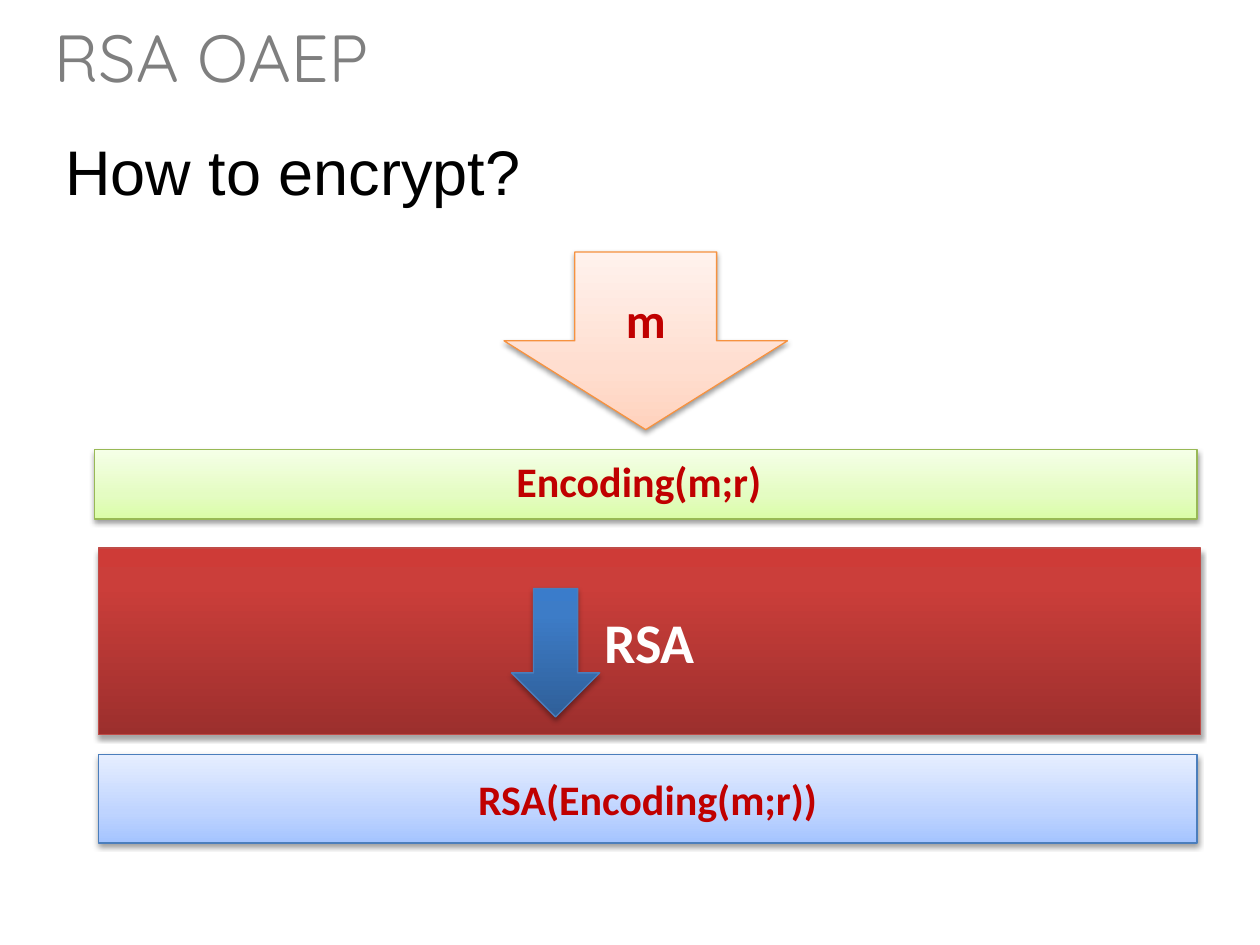
from copy import deepcopy

from lxml import etree
from pptx import Presentation
from pptx import util as u
from pptx.dml.color import RGBColor
from pptx.enum import shapes, text
from pptx.oxml.ns import qn

COLORS = {
    "title": "7F7F7F", "black": "000000", "white": "FFFFFF", "label": "C00000",
    "orange_line": "F69240", "red_line": "BF4C48",
    "green_line": "98B955", "blue_line": "4B7EBC",
}
SOFT = {"stops": (0, 0.35, 1), "opacity": 38, "distance": 1.6}
STRONG = {"stops": (0, 0.8, 1), "opacity": 35, "distance": 1.8}
ORANGE = ("FFD2BD", "FFDED0", "FFF2ED")
RED = ("9C2F2D", "CB3E3A", "CE3B37")
GREEN = ("DAFDA7", "E4FCC2", "F5FFE7")
PALE_BLUE = ("A4C4FF", "BFD4FF", "E6EEFF")
BLUE = ("2F5F99", "3D7CC7", "3A7CCB")
ARROW = shapes.MSO_SHAPE.DOWN_ARROW
BAR = shapes.MSO_SHAPE.RECTANGLE


def write(frame, content, size, color="label", font="Calibri", bold=True, align=None):
    """Write one formatted line into a text frame."""
    para = frame.paragraphs[0]
    para.alignment = align
    span = para.add_run()
    span.text = content
    span.font.size = u.Pt(size)
    span.font.name = font
    span.font.bold = bold
    span.font.color.rgb = RGBColor.from_string(COLORS[color])


class SlideBuilder:
    """Hold the current slide and draw its kinds of element."""

    def __init__(self, page):
        self.page = page

    def label(self, place, content, size, wrap=True, parent=None, **style):
        parent = parent or self.page
        box = parent.shapes.add_textbox(*map(u.Inches, place))
        box.text_frame.word_wrap = wrap
        box.text_frame.auto_size = text.MSO_AUTO_SIZE.SHAPE_TO_FIT_TEXT
        write(box.text_frame, content, size, **style)

    def block(self, kind, place, gradient, line, effect, parent=None):
        parent = parent or self.page
        box = parent.shapes.add_shape(kind, *map(u.Inches, place))
        box.line.color.rgb = RGBColor.from_string(COLORS[line])
        box.line.width = u.Pt(0.75)
        self.shade(box, gradient, effect["stops"])
        self.shadow(box, effect["opacity"], effect["distance"])
        box.text_frame.vertical_anchor = text.MSO_ANCHOR.MIDDLE
        return box

    def caption(self, box, content, size, **style):
        write(box.text_frame, content, size, align=text.PP_ALIGN.CENTER, **style)

    def shade(self, box, gradient, positions):
        box.fill.gradient()
        box.fill.gradient_angle = 90
        stop_list = box._element.spPr.find(qn("a:gradFill")).find(qn("a:gsLst"))
        stop_list.append(deepcopy(stop_list[0]))
        for stop, color, position in zip(box.fill.gradient_stops, gradient, positions):
            stop.color.rgb = RGBColor.from_string(color)
            stop.position = position

    def shadow(self, box, opacity, distance):
        box.shadow.inherit = False
        effects = box._element.spPr.find(qn("a:effectLst"))
        outer = etree.SubElement(
            effects, qn("a:outerShdw"), blurRad=str(u.Pt(3.1)),
            dist=str(u.Pt(distance)), dir="5400000", rotWithShape="0")
        color = etree.SubElement(outer, qn("a:srgbClr"), val=COLORS["black"])
        etree.SubElement(color, qn("a:alpha"), val=str(opacity * 1000))


def main():
    """Build the encryption slide."""
    deck = Presentation()
    deck.slide_width, deck.slide_height = u.Inches(10), u.Inches(7.5)
    page = deck.slides.add_slide(deck.slide_layouts[6])
    builder = SlideBuilder(page)

    builder.label((0.33, 0.08, 9.33, 0.74), "RSA OAEP", 38,
                  color="title", font="Quicksand", bold=False)
    builder.label((0.42, 1, 8.75, 0.71), "How to encrypt?", 36,
                  color="black", font="Arial", bold=False)

    message = builder.block(ARROW, (4, 2, 2.25, 1.41), ORANGE, "orange_line", SOFT)
    builder.caption(message, "m", 28)
    cipher = builder.block(BAR, (0.78, 4.35, 8.75, 1.48), RED, "red_line", STRONG)
    builder.caption(cipher, "RSA", 32, color="white")

    encoding = page.shapes.add_group_shape()
    builder.block(BAR, (0.75, 3.57, 8.75, 0.55), GREEN, "green_line", SOFT,
                  parent=encoding)
    builder.label((4, 3.57, 2.17, 0.5), "Encoding(m;r)", 24, wrap=False,
                  parent=encoding)

    result = builder.block(BAR, (0.78, 5.99, 8.72, 0.7), PALE_BLUE, "blue_line", SOFT)
    builder.caption(result, "RSA(Encoding(m;r))", 24)
    builder.block(ARROW, (4.06, 4.67, 0.7, 1.02), BLUE, "blue_line", STRONG)

    deck.save("out.pptx")


if __name__ == "__main__":
    main()
